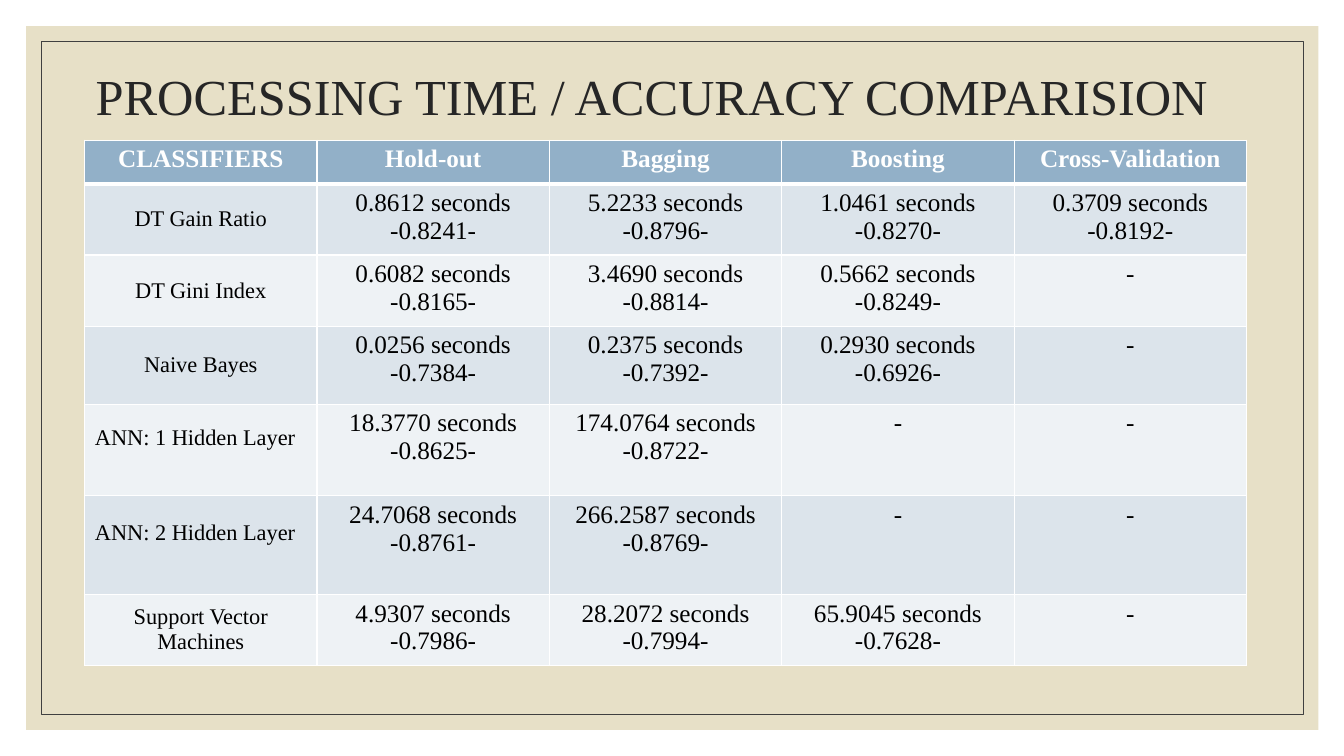
from lxml.etree import SubElement
from pptx import Presentation
from pptx.dml.color import RGBColor
from pptx.enum.shapes import MSO_SHAPE
from pptx.enum.text import MSO_ANCHOR, PP_ALIGN
from pptx.oxml.ns import qn
from pptx.util import Pt

FONT = "Times New Roman"
WHITE = RGBColor(0xFF, 0xFF, 0xFF)
BLACK = RGBColor(0x00, 0x00, 0x00)
SAND = RGBColor(0xE7, 0xE0, 0xC7)
FRAME = RGBColor(0x40, 0x40, 0x40)
INK = RGBColor(0x26, 0x26, 0x26)
BLUE = RGBColor(0x92, 0xB0, 0xC8)
BANDS = RGBColor(0xDC, 0xE4, 0xEB), RGBColor(0xEE, 0xF2, 0xF5)

HEADS = ["CLASSIFIERS", "Hold-out", "Bagging", "Boosting", "Cross-Validation"]
ROWS = [
    ("DT Gain Ratio", 51, [("0.8612", "0.8241"), ("5.2233", "0.8796"),
                           ("1.0461", "0.8270"), ("0.3709", "0.8192")]),
    ("DT Gini Index", 51, [("0.6082", "0.8165"), ("3.4690", "0.8814"),
                           ("0.5662", "0.8249"), None]),
    ("Naive Bayes", 55.5, [("0.0256", "0.7384"), ("0.2375", "0.7392"),
                           ("0.2930", "0.6926"), None]),
    ("ANN: 1 Hidden Layer", 65.5, [("18.3770", "0.8625"),
                                   ("174.0764", "0.8722"), None, None]),
    ("ANN: 2 Hidden Layer", 70.5, [("24.7068", "0.8761"),
                                   ("266.2587", "0.8769"), None, None]),
    ("Support Vector Machines", 50.5, [("4.9307", "0.7986"), ("28.2072", "0.7994"),
                                       ("65.9045", "0.7628"), None]),
]
HEAD_TALL = 31
COL_WIDE = 166


def style(para, size, color, bold=False):
    """Set the font of a paragraph."""
    font = para.font
    font.name, font.size, font.bold = FONT, Pt(size), bold
    font.color.rgb = color


def add_panel(slide, left, top, width, height, fill=None, line=None):
    """Add a plain rectangle with a fill or an outline."""
    box = slide.shapes.add_shape(
        MSO_SHAPE.RECTANGLE, Pt(left), Pt(top), Pt(width), Pt(height))
    box.shadow.inherit = False
    if fill is None:
        box.fill.background()
    else:
        box.fill.solid()
        box.fill.fore_color.rgb = fill
    if line is None:
        box.line.fill.background()
    else:
        box.line.color.rgb = line
        box.line.width = Pt(0.5)


def add_title(slide, text):
    """Add the slide heading."""
    box = slide.shapes.add_textbox(Pt(61.2), Pt(60.5), Pt(814.3), Pt(20.9))
    frame = box.text_frame
    frame.word_wrap = True
    frame.vertical_anchor = MSO_ANCHOR.MIDDLE
    para = frame.paragraphs[0]
    para.text = text
    para.line_spacing = 0.9
    style(para, 36, INK)


def set_edges(cell, top=1, bottom=1):
    """Draw white borders round a cell."""
    props = cell._tc.get_or_add_tcPr()
    for side, width in zip("LRTB", (1, 1, top, bottom)):
        line = SubElement(props, qn(f"a:ln{side}"), w=str(Pt(width)))
        fill = SubElement(line, qn("a:solidFill"))
        SubElement(fill, qn("a:srgbClr"), val=str(WHITE))


def fill_cell(cell, lines, back, size=18, color=BLACK, bold=False):
    """Write centred lines on a coloured cell."""
    cell.fill.solid()
    cell.fill.fore_color.rgb = back
    cell.text = "\n".join(lines)
    for para in cell.text_frame.paragraphs:
        para.alignment = PP_ALIGN.CENTER
        style(para, size, color, bold)


def fill_label(cell, name, back):
    """Write a classifier name, raised and nudged left for the networks."""
    fill_cell(cell, [name], back, size=16)
    cell.vertical_anchor = MSO_ANCHOR.MIDDLE
    if name.startswith("ANN"):
        cell.margin_left, cell.margin_right = Pt(3), Pt(11)
        cell.margin_bottom = Pt(21)


def add_grid(slide):
    """Add the table of times and accuracies."""
    talls = [HEAD_TALL] + [tall for _, tall, _ in ROWS]
    table = slide.shapes.add_table(
        len(talls), len(HEADS), Pt(60.4), Pt(100.2),
        Pt(COL_WIDE * len(HEADS)), Pt(sum(talls))).table
    for col in table.columns:
        col.width = Pt(COL_WIDE)
    for row, tall in zip(table.rows, talls):
        row.height = Pt(tall)
    for col, head in enumerate(HEADS):
        cell = table.cell(0, col)
        set_edges(cell, bottom=3)
        fill_cell(cell, [head], BLUE, color=WHITE, bold=True)
    for row, (name, _, pairs) in enumerate(ROWS, 1):
        back = BANDS[(row - 1) % 2]
        for cell in table.rows[row].cells:
            set_edges(cell, top=3 if row == 1 else 1)
        fill_label(table.cell(row, 0), name, back)
        for col, pair in enumerate(pairs, 1):
            lines = [f"{pair[0]} seconds", f"-{pair[1]}-"] if pair else ["-"]
            fill_cell(table.cell(row, col), lines, back)


def main():
    """Build and save the slide."""
    deck = Presentation()
    deck.slide_width, deck.slide_height = Pt(960), Pt(540)
    slide = deck.slides.add_slide(deck.slide_layouts[6])
    add_panel(slide, 18.7, 18.7, 923, 502.6, fill=SAND)
    add_panel(slide, 29.5, 29.5, 901.4, 481, line=FRAME)
    add_title(slide, "PROCESSING TIME / ACCURACY COMPARISION")
    add_grid(slide)
    deck.save("out.pptx")


if __name__ == "__main__":
    main()
